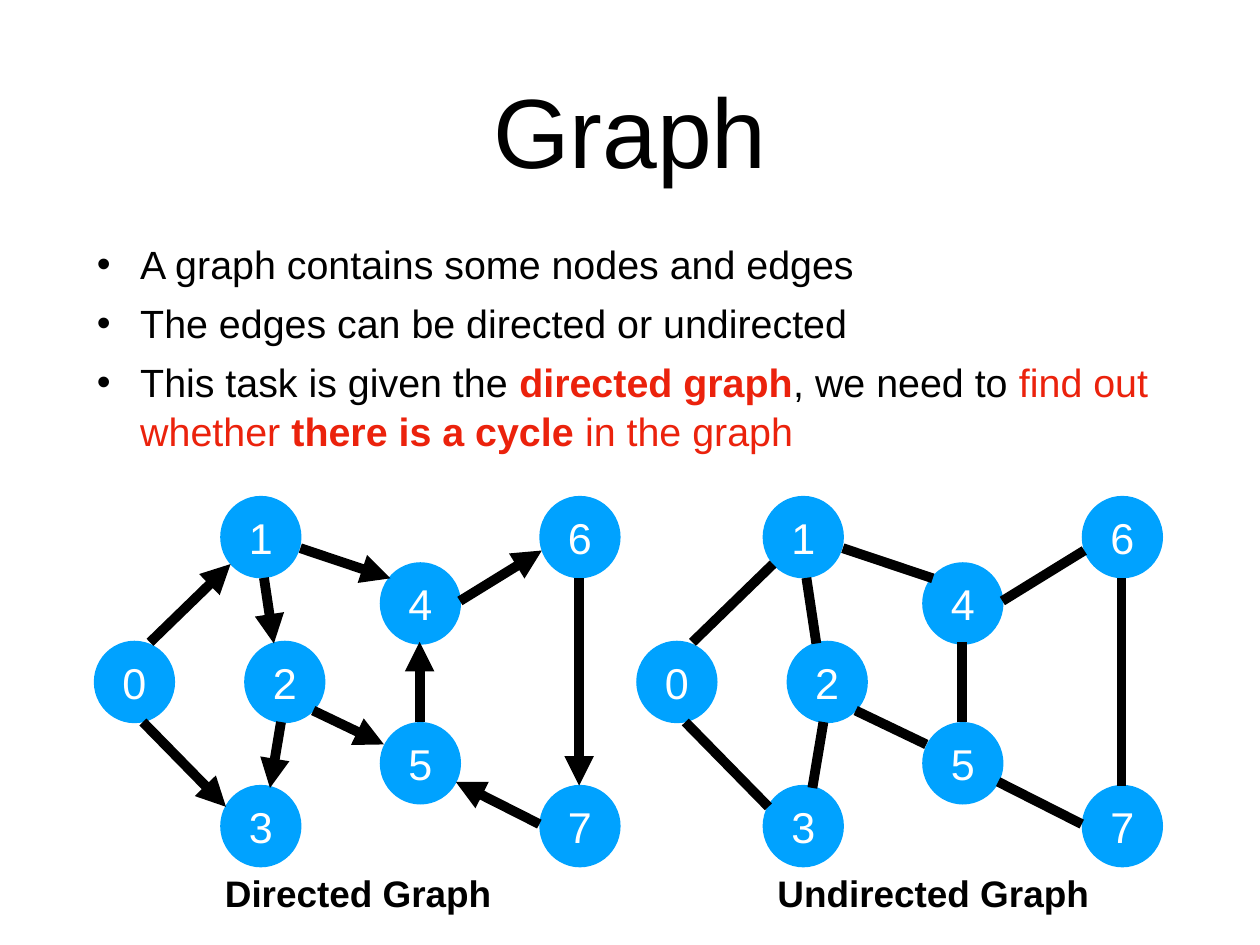
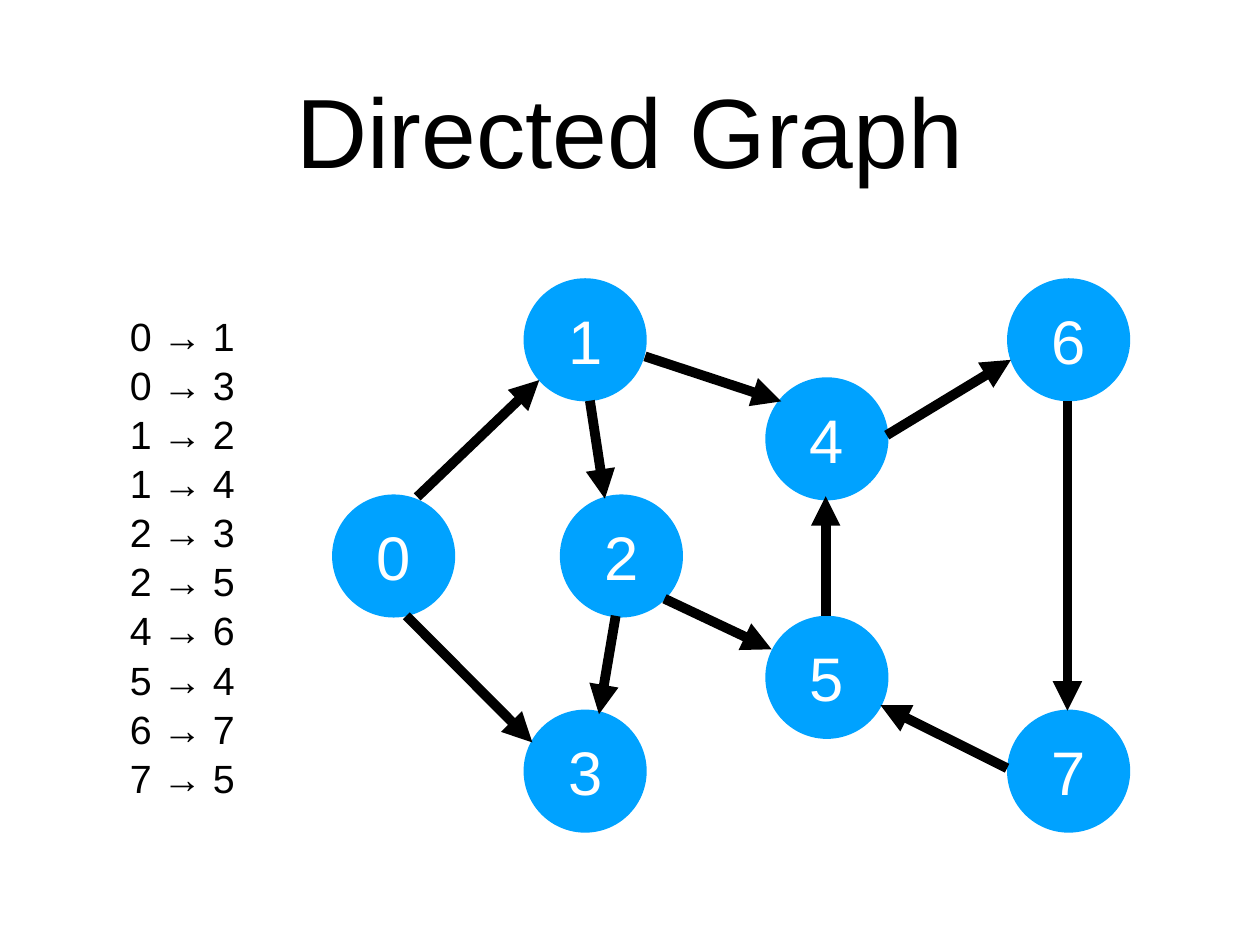
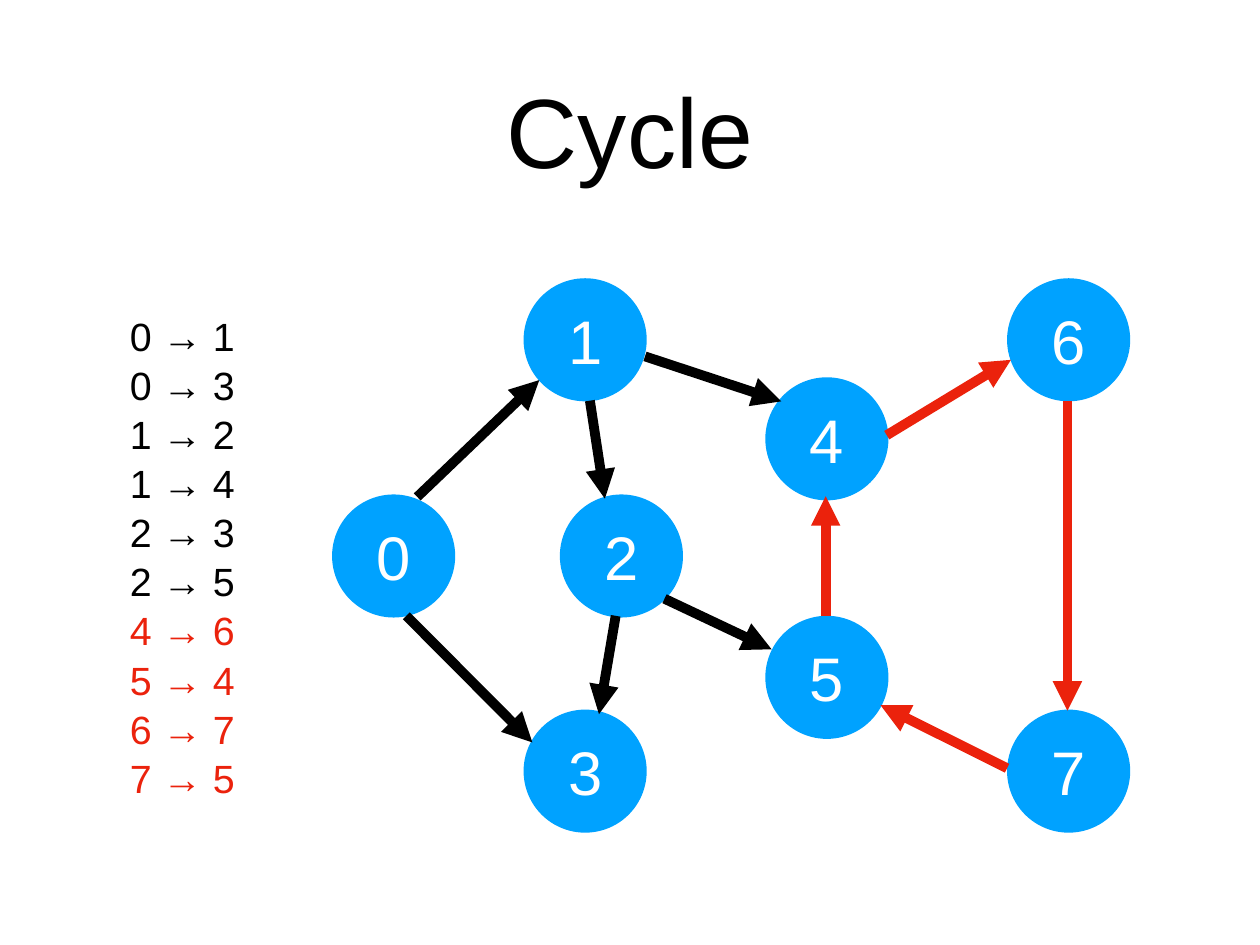
from lxml.etree import SubElement
from pptx import Presentation
from pptx.dml.color import RGBColor
from pptx.enum.shapes import MSO_CONNECTOR as Connector, MSO_SHAPE as Preset
from pptx.enum.text import MSO_ANCHOR as Anchor, MSO_AUTO_SIZE as AutoSize, PP_ALIGN as Align
from pptx.oxml.ns import qn
from pptx.util import Cm, Pt

BLACK = RGBColor(0x00, 0x00, 0x00)
WHITE = RGBColor(0xFF, 0xFF, 0xFF)
BLUE = RGBColor(0x00, 0xA2, 0xFF)
RED = RGBColor(0xEB, 0x22, 0x0C)

FONT = "Arial"
INSET = Cm(0.14)
DIAMETER = 3.53
NODES = {
    0: (0, 6.2), 1: (5.49, 0), 2: (6.53, 6.2), 3: (5.49, 12.37),
    4: (12.42, 2.84), 5: (12.42, 9.68), 6: (19.35, 0), 7: (19.35, 12.37),
}
EDGES = {
    (0, 1): ((2.44, 6.27), (5.94, 2.92)),
    (0, 3): ((2.13, 9.68), (5.74, 13.31)),
    (1, 2): ((7.39, 3.51), (7.82, 6.32)),
    (1, 4): ((8.97, 2.24), (12.88, 3.53)),
    (2, 3): ((8.13, 9.68), (7.65, 12.5)),
    (2, 5): ((9.53, 9.19), (12.6, 10.64)),
    (4, 6): ((15.9, 4.5), (19.46, 2.34)),
    (5, 4): ((14.15, 9.68), (14.15, 6.25)),
    (6, 7): ((21.08, 3.53), (21.08, 12.4)),
    (7, 5): ((19.35, 14.05), (15.72, 12.24)),
}
CYCLE = {(4, 6), (5, 4), (6, 7), (7, 5)}
LARGE = (1, 1)
SMALL = (0.66, 0.67)

POINTS = [
    [("A graph contains some nodes and edges", BLACK, False)],
    [("The edges can be directed or undirected", BLACK, False)],
    [
        ("This task is given the ", BLACK, False),
        ("directed graph", RED, True),
        (", we need to ", BLACK, False),
        ("find out whether ", RED, False),
        ("there is a cycle", RED, True),
        (" in the graph", RED, False),
    ],
]


def place(shape, left, top, width, height):
    shape.left, shape.top = Cm(left), Cm(top)
    shape.width, shape.height = Cm(width), Cm(height)


def format_frame(frame):
    frame.word_wrap = True
    frame.auto_size = AutoSize.NONE
    frame.vertical_anchor = Anchor.MIDDLE
    frame.margin_left = frame.margin_right = INSET
    frame.margin_top = frame.margin_bottom = INSET


def format_span(span, size, color, bold=False):
    span.font.name = FONT
    span.font.size = Pt(size)
    span.font.color.rgb = color
    span.font.bold = bold


def set_label(shape, text, size, color, bold=False):
    format_frame(shape.text_frame)
    shape.text_frame.text = text
    para = shape.text_frame.paragraphs[0]
    para.alignment = Align.CENTER
    format_span(para.runs[0], size, color, bold)


def add_page(deck, title):
    page = deck.slides.add_slide(deck.slide_layouts[1])
    place(page.shapes.title, 2.64, 0.71, 30.84, 6)
    set_label(page.shapes.title, title, 80, BLACK)
    return page


def fill_body(page, area, lines, bulleted):
    body = page.placeholders[1]
    place(body, *area)
    frame = body.text_frame
    format_frame(frame)
    for index, pieces in enumerate(lines):
        para = frame.add_paragraph() if index else frame.paragraphs[0]
        para.line_spacing = 1.04
        para.space_before = Pt(8 if bulleted and index else 0)
        indent = Cm(1.24) if bulleted else 0
        properties = para._p.get_or_add_pPr()
        properties.set("marL", str(indent))
        properties.set("indent", str(-indent))
        if not bulleted:
            SubElement(properties, qn("a:buNone"))
        for text, color, bold in pieces:
            span = para.add_run()
            span.text = text
            format_span(span, 32, color, bold)


def add_node(group, number, left, top, width, height, size):
    node = group.shapes.add_shape(Preset.OVAL, Cm(left), Cm(top), Cm(width), Cm(height))
    node.shadow.inherit = False
    node.fill.solid()
    node.fill.fore_color.rgb = BLUE
    node.line.fill.background()
    set_label(node, str(number), size, WHITE)


def add_edge(group, start, end, color, directed):
    points = [Cm(value) for value in (*start, *end)]
    edge = group.shapes.add_connector(Connector.STRAIGHT, *points)
    edge.line.width = Pt(8)
    edge.line.color.rgb = color
    if directed:
        SubElement(edge.line._get_or_add_ln(), qn("a:tailEnd"), type="triangle")
    SubElement(edge._element.spPr, qn("a:effectLst"))


def add_graph(page, left, top, scale, size, directed=True, marked=()):
    def locate(point):
        return left + point[0] * scale[0], top + point[1] * scale[1]

    group = page.shapes.add_group_shape()
    for number, corner in NODES.items():
        add_node(group, number, *locate(corner),
                 DIAMETER * scale[0], DIAMETER * scale[1], size)
    for pair, (start, end) in EDGES.items():
        color = RED if pair in marked else BLACK
        add_edge(group, locate(start), locate(end), color, directed)


def add_caption(page, text, left, width):
    box = page.shapes.add_textbox(Cm(left), Cm(24.84), Cm(width), Cm(1.55))
    set_label(box, text, 30, BLACK, True)


def add_overview(deck):
    page = add_page(deck, "Graph")
    fill_body(page, (2.64, 6.55, 30.84, 6.78), POINTS, True)
    add_graph(page, 2.69, 14.22, SMALL, 35)
    add_graph(page, 18.24, 14.22, SMALL, 35, directed=False)
    add_caption(page, "Directed Graph", 6.27, 8)
    add_caption(page, "Undirected Graph", 22.12, 9.27)


def add_edge_page(deck, title, marked=()):
    page = add_page(deck, title)
    add_graph(page, 9.52, 7.98, LARGE, 50, marked=marked)
    lines = [
        [(f"{pair[0]} → {pair[1]}", RED if pair in marked else BLACK, False)]
        for pair in EDGES
    ]
    fill_body(page, (3.58, 7.19, 3.38, 17.48), lines, False)


def main():
    deck = Presentation()
    deck.slide_width, deck.slide_height = Cm(36.12), Cm(27.1)
    add_overview(deck)
    add_edge_page(deck, "Directed Graph")
    add_edge_page(deck, "Cycle", CYCLE)
    deck.save("out.pptx")


main()
